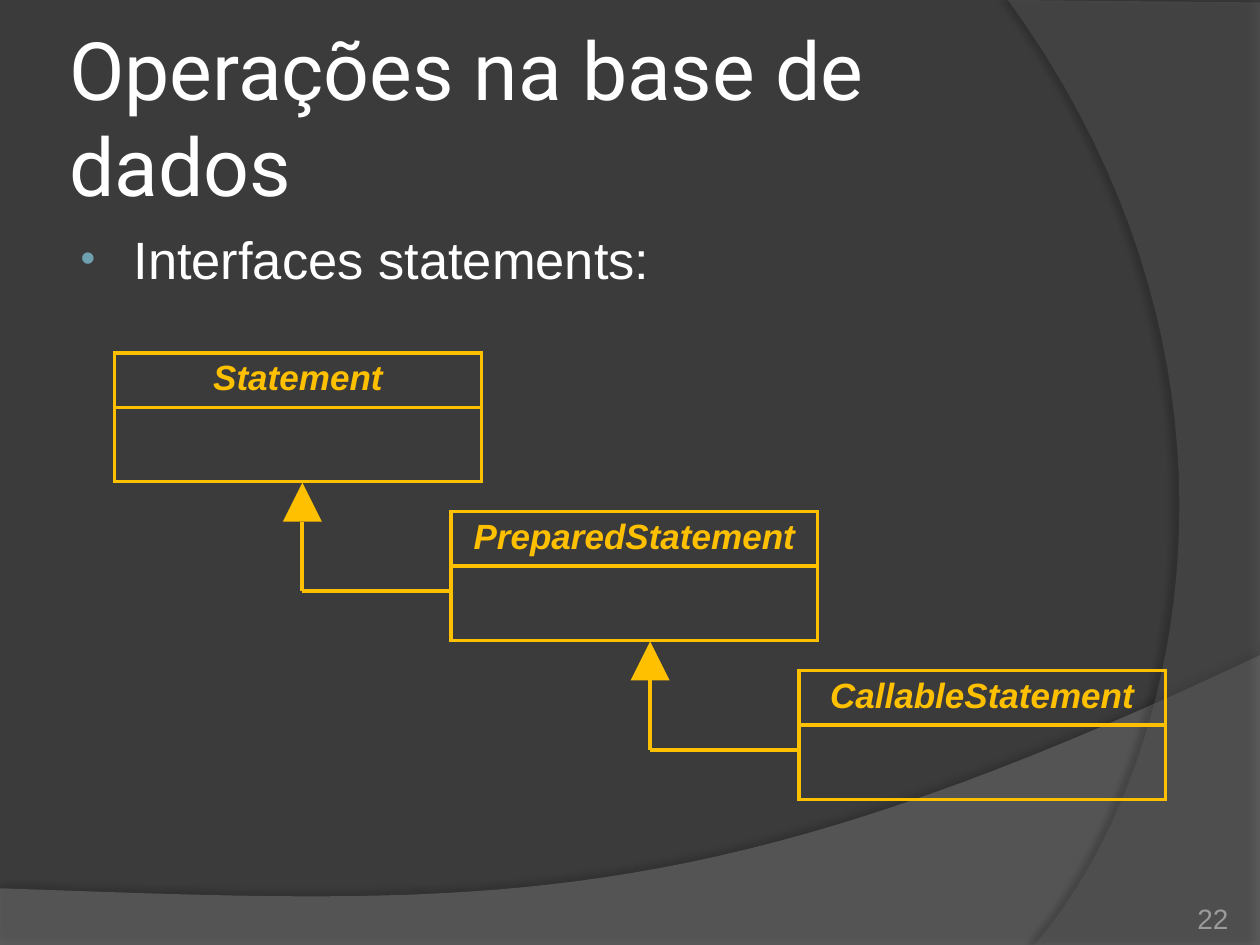
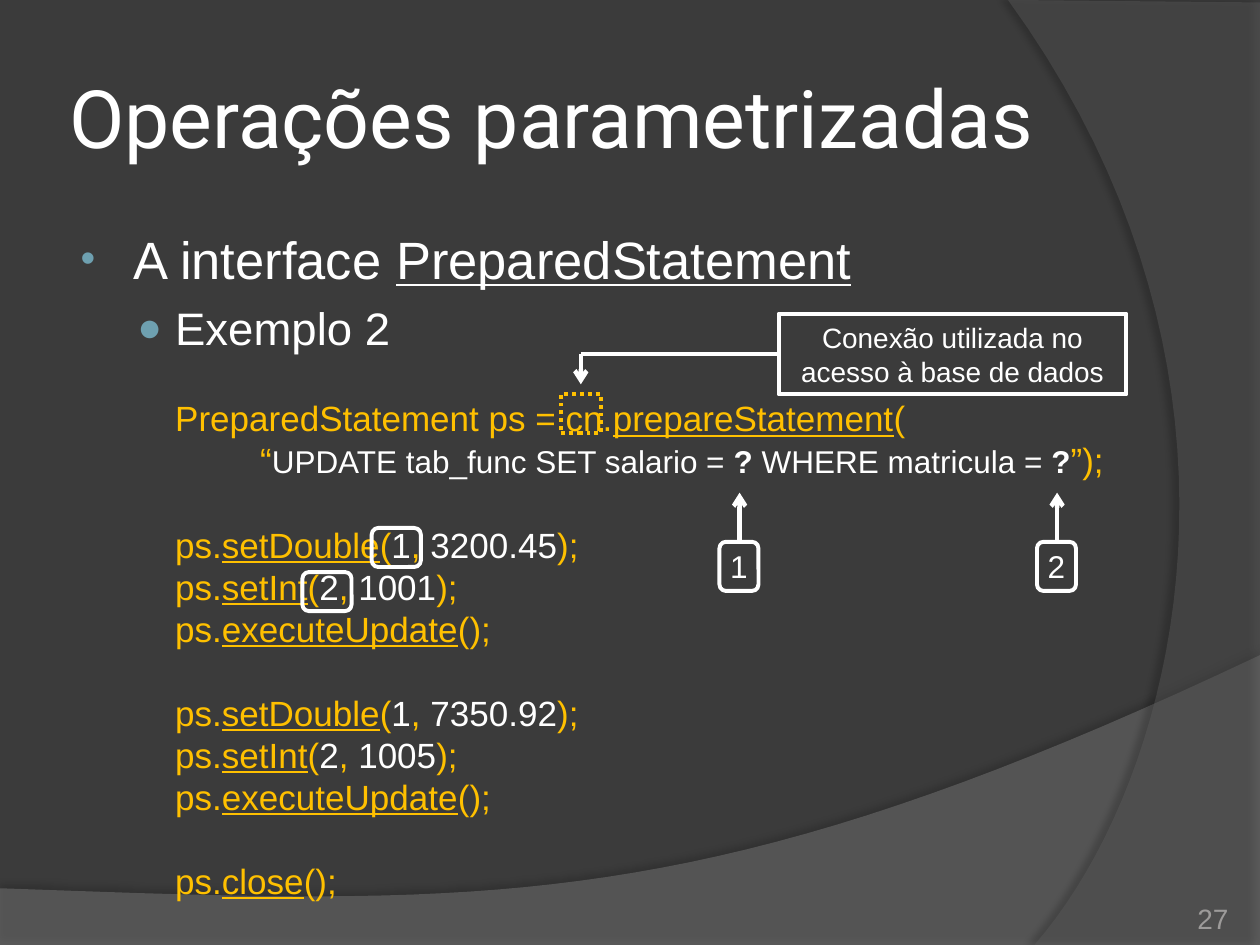
from typing import NamedTuple, Optional

from lxml.etree import SubElement
from pptx import Presentation
from pptx.dml.color import RGBColor
from pptx.enum.dml import MSO_LINE
from pptx.enum.shapes import MSO_CONNECTOR, MSO_SHAPE
from pptx.enum.text import MSO_ANCHOR, MSO_AUTO_SIZE, PP_ALIGN
from pptx.oxml.ns import qn
from pptx.util import Inches, Pt

# Shared look
BACKGROUND = RGBColor(0x3B, 0x3B, 0x3B)
LOWER_BAND = RGBColor(0x7F, 0x7F, 0x7F)
RIGHT_BAND = RGBColor(0x5E, 0x5E, 0x5E)
WHITE = RGBColor(0xFF, 0xFF, 0xFF)
AMBER = RGBColor(0xFF, 0xC0, 0x00)
MUTED = RGBColor(0x9D, 0x9B, 0x9A)
BULLET_COLOR = "6EA0B0"
TITLE_FONT = "Roboto"
BODY_FONT = "Arial"
LINE_PITCH = 1.2
CODE_SIZE = 20


class Span(NamedTuple):
    text: str
    color: RGBColor = WHITE
    size: float = CODE_SIZE
    bold: bool = False
    italic: bool = False
    underline: bool = False
    font: str = BODY_FONT


class Bullet(NamedTuple):
    symbol: str
    percent: int


class Para(NamedTuple):
    spans: list[Span]
    level: int = 0
    left: float = 0.79
    hanging: float = 0
    before: float = 0
    bullet: Optional[Bullet] = None
    align: PP_ALIGN = PP_ALIGN.LEFT


class Band(NamedTuple):
    corners: list[tuple[float, float]]
    curve: list[tuple[float, float]]
    color: RGBColor
    opacity: int
    shadow_opacity: int
    shadow_distance: float
    shadow_angle: int


class ClassBox(NamedTuple):
    name: str
    left: float


class Badge(NamedTuple):
    label: str
    center: float


BANDS = [
    Band([(0, 7.5), (10, 7.5)], [(10, 5.2), (5.59, 7.29), (3.91, 7.19), (0, 7.05)],
         LOWER_BAND, 45, 35, 3.5, 270),
    Band([(10, 0.02), (10, 7.5)], [(8.21, 7.5), (9.35, 6.19), (10.18, 3), (8, 0)],
         RIGHT_BAND, 40, 45, 4, 180),
]


# Text helpers
def add_spans(paragraph, spans: list[Span]) -> None:
    for span in spans:
        run = paragraph.add_run()
        run.text = span.text
        font = run.font
        font.name, font.size = span.font, Pt(span.size)
        font.bold, font.italic, font.underline = span.bold, span.italic, span.underline
        font.color.rgb = span.color
    paragraph.line_spacing = Pt(round(LINE_PITCH * max(span.size for span in spans), 1))


def format_list_item(paragraph, item: Para) -> None:
    paragraph.level = item.level
    properties = paragraph._p.get_or_add_pPr()
    properties.set("marL", str(Inches(item.left)))
    properties.set("indent", str(Inches(item.hanging)))
    if item.bullet:
        color = SubElement(properties, qn("a:buClr"))
        SubElement(color, qn("a:srgbClr"), val=BULLET_COLOR)
        SubElement(properties, qn("a:buSzPct"), val=str(item.bullet.percent * 1000))
        SubElement(properties, qn("a:buFont"), typeface=BODY_FONT)
        SubElement(properties, qn("a:buChar"), char=item.bullet.symbol)
    else:
        SubElement(properties, qn("a:buNone"))
    paragraph.alignment = item.align
    paragraph.space_before = Pt(item.before)
    add_spans(paragraph, item.spans)


def set_insets(frame, inset: float) -> None:
    frame.margin_left = frame.margin_right = Inches(inset)
    frame.margin_top = frame.margin_bottom = Inches(inset)


def place(shape, left: float, top: float, width: float, height: float) -> None:
    shape.left, shape.top = Inches(left), Inches(top)
    shape.width, shape.height = Inches(width), Inches(height)


# Drawing helpers
def add_outline(page, kind: MSO_SHAPE, left: float, top: float, width: float,
                height: float, color: RGBColor = WHITE):
    shape = page.shapes.add_shape(kind, Inches(left), Inches(top),
                                  Inches(width), Inches(height))
    shape.shadow.inherit = False
    shape.fill.background()
    shape.line.color.rgb = color
    shape.line.width = Pt(2.25)
    return shape


def add_label(shape, span: Span, inset: float) -> None:
    frame = shape.text_frame
    frame.word_wrap = True
    frame.vertical_anchor = MSO_ANCHOR.MIDDLE
    set_insets(frame, inset)
    frame.paragraphs[0].alignment = PP_ALIGN.CENTER
    add_spans(frame.paragraphs[0], [span])


def add_line(page, start: tuple[float, float], end: tuple[float, float],
             color: RGBColor = WHITE, width: float = 2.5, arrow: bool = False) -> None:
    points = [Inches(value) for value in (*start, *end)]
    line = page.shapes.add_connector(MSO_CONNECTOR.STRAIGHT, *points)
    line.line.color.rgb = color
    line.line.width = Pt(width)
    properties = line.element.spPr
    if arrow:
        SubElement(properties.get_or_add_ln(), qn("a:tailEnd"), type="arrow")
    SubElement(properties, qn("a:effectLst"))


def curve_points(curve: list[tuple[float, float]], steps: int = 40):
    for step in range(steps + 1):
        t = step / steps
        weights = ((1 - t) ** 3, 3 * t * (1 - t) ** 2, 3 * t * t * (1 - t), t ** 3)
        yield tuple(sum(w * point[axis] for w, point in zip(weights, curve))
                    for axis in (0, 1))


def add_band(page, layout, band: Band, position: int) -> None:
    points = [(Inches(x), Inches(y)) for x, y in [*band.corners, *curve_points(band.curve)]]
    builder = page.shapes.build_freeform(*points[0])
    builder.add_line_segments(points[1:], close=True)
    shape = builder.convert_to_shape()
    shape.fill.solid()
    shape.fill.fore_color.rgb = band.color
    shape.line.fill.background()
    properties = shape.element.spPr
    fill_color = properties.find(qn("a:solidFill")).find(qn("a:srgbClr"))
    SubElement(fill_color, qn("a:alpha"), val=str(band.opacity * 1000))
    effects = SubElement(properties, qn("a:effectLst"))
    shadow = SubElement(effects, qn("a:outerShdw"), blurRad=str(Pt(4)),
                        dist=str(Pt(band.shadow_distance)),
                        dir=str(band.shadow_angle * 60000), rotWithShape="0")
    shadow_color = SubElement(shadow, qn("a:srgbClr"), val="000000")
    SubElement(shadow_color, qn("a:alpha"), val=str(band.shadow_opacity * 1000))
    # The band belongs to the layout, behind its placeholders
    layout.shapes.element.insert(position, shape.element)


def add_page(deck, title: str, items: list[Para], number: int, body_width: float):
    page = deck.slides.add_slide(deck.slide_layouts[1])
    heading, body = page.shapes.title, page.placeholders[1]
    place(heading, 0.5, 0.3, 8.17, 1.25)
    frame = heading.text_frame
    frame.auto_size = MSO_AUTO_SIZE.NONE
    frame.vertical_anchor = MSO_ANCHOR.MIDDLE
    set_insets(frame, 0.05)
    frame.paragraphs[0].alignment = PP_ALIGN.LEFT
    add_spans(frame.paragraphs[0], [Span(title, size=46, font=TITLE_FONT)])

    place(body, 0.5, 1.75, body_width, 4.95)
    frame = body.text_frame
    frame.auto_size = MSO_AUTO_SIZE.NONE
    for index, item in enumerate(items):
        paragraph = frame.add_paragraph() if index else frame.paragraphs[0]
        format_list_item(paragraph, item)

    box = page.shapes.add_textbox(Inches(8.92), Inches(7.02), Inches(0.83), Inches(0.4))
    frame = box.text_frame
    frame.word_wrap = True
    frame.vertical_anchor = MSO_ANCHOR.BOTTOM
    set_insets(frame, 0)
    frame.paragraphs[0].alignment = PP_ALIGN.RIGHT
    add_spans(frame.paragraphs[0], [Span(str(number), MUTED, 16)])
    return page


def topic(*spans: Span) -> Para:
    return Para(list(spans), left=0.46, hanging=-0.42, bullet=Bullet("•", 80))


# Class diagram
def add_class_box(page, box: ClassBox, top: float) -> None:
    heights = (0.41, 0.59)
    graphic = page.shapes.add_table(2, 1, Inches(box.left), Inches(top),
                                    Inches(2.91), Inches(sum(heights)))
    table = graphic.table
    table.first_row = table.horz_banding = False
    for row, height in enumerate(heights):
        table.rows[row].height = Inches(height)
        cell = table.cell(row, 0)
        properties = cell._tc.get_or_add_tcPr()
        for side in ("a:lnL", "a:lnR", "a:lnT", "a:lnB"):
            border = SubElement(properties, qn(side), w=str(Pt(2.25)))
            SubElement(SubElement(border, qn("a:solidFill")), qn("a:srgbClr"), val=str(AMBER))
        cell.fill.background()
    paragraph = table.cell(0, 0).text_frame.paragraphs[0]
    paragraph.alignment = PP_ALIGN.CENTER
    add_spans(paragraph, [Span(box.name, AMBER, bold=True, italic=True)])
    paragraph.line_spacing = 1.0


def add_inheritance(page, child_left: float, child_top: float) -> None:
    axis, tip, elbow, side = child_left - 1.18, child_top - 0.23, child_top + 0.63, 0.31
    head = add_outline(page, MSO_SHAPE.ISOSCELES_TRIANGLE, axis - side / 2, tip, side, side)
    head.fill.solid()
    head.fill.fore_color.rgb = AMBER
    head.line.fill.background()
    add_line(page, (axis, tip + side), (axis, elbow), AMBER, 2.25)
    add_line(page, (child_left, elbow), (axis, elbow), AMBER, 2.25)


def build_interfaces(deck):
    page = add_page(deck, "Operações na base de dados",
                    [topic(Span("Interfaces statements:", size=30))], 22, 8.17)
    boxes = [ClassBox("Statement", 0.91), ClassBox("PreparedStatement", 3.58),
             ClassBox("CallableStatement", 6.34)]
    for index, box in enumerate(boxes):
        top = 2.8 + 1.26 * index
        add_class_box(page, box, top)
        if index:
            add_inheritance(page, box.left, top)
    return page


# Code example
def code(*spans: Span, before: float = 0, align: PP_ALIGN = PP_ALIGN.LEFT) -> Para:
    return Para(list(spans), level=1, before=before, align=align)


def call(method: str, *values: str, before: float = 0) -> Para:
    spans = [Span("ps.", AMBER), Span(method, AMBER, underline=True)]
    if values:
        index, value = values
        spans += [Span("(", AMBER), Span(index), Span(",", AMBER),
                  Span(f" {value}"), Span(");", AMBER)]
    else:
        spans.append(Span("();", AMBER))
    return code(*spans, before=before)


def build_parameters(deck) -> None:
    gap = LINE_PITCH * CODE_SIZE
    items = [
        topic(Span("A interface ", size=30), Span("PreparedStatement", size=30, underline=True)),
        Para([Span("Exemplo 2", size=26)], level=1, hanging=-0.3, before=6,
             bullet=Bullet("●", 90)),
        code(Span("PreparedStatement ps = cn.", AMBER),
             Span("prepareStatement", AMBER, underline=True), Span("(", AMBER), before=gap),
        code(Span("“", AMBER), Span("UPDATE tab_func SET salario = ", size=18),
             Span("?", size=18, bold=True), Span(" WHERE matricula = ", size=18),
             Span("?", size=18, bold=True), Span("”);", AMBER), align=PP_ALIGN.RIGHT),
    ]
    for salary, employee in (("3200.45", "1001"), ("7350.92", "1005")):
        items += [call("setDouble", "1", salary, before=gap),
                  call("setInt", "2", employee), call("executeUpdate")]
    items.append(call("close", before=gap))
    page = add_page(deck, "Operações parametrizadas", items, 27, 8.36)

    # Connection callout
    mark = add_outline(page, MSO_SHAPE.RECTANGLE, 4.45, 3.13, 0.32, 0.31, AMBER)
    mark.line.dash_style = MSO_LINE.ROUND_DOT
    callout = add_outline(page, MSO_SHAPE.RECTANGLE, 6.18, 2.49, 2.76, 0.64)
    add_label(callout, Span("Conexão utilizada no acesso à base de dados", size=16), 0.05)
    add_line(page, (4.61, 2.81), (4.61, 3.05), arrow=True)
    add_line(page, (6.18, 2.81), (4.61, 2.81))

    # Parameter positions
    for left, top in ((2.95, 4.19), (2.4, 4.54)):
        add_outline(page, MSO_SHAPE.ROUNDED_RECTANGLE, left, top, 0.39, 0.31)
    for badge in (Badge("1", 5.87), Badge("2", 8.39)):
        add_line(page, (badge.center, 4.3), (badge.center, 3.91), arrow=True)
        shape = add_outline(page, MSO_SHAPE.ROUNDED_RECTANGLE,
                            badge.center - 0.16, 4.3, 0.31, 0.39)
        add_label(shape, Span(badge.label, size=18), 0)


def main() -> None:
    deck = Presentation()
    deck.slide_width, deck.slide_height = Inches(10), Inches(7.5)
    background = deck.slide_master.background.fill
    background.solid()
    background.fore_color.rgb = BACKGROUND
    first_page = build_interfaces(deck)
    for index, band in enumerate(BANDS):
        add_band(first_page, deck.slide_layouts[1], band, 2 + index)
    build_parameters(deck)
    deck.save("out.pptx")


if __name__ == "__main__":
    main()
